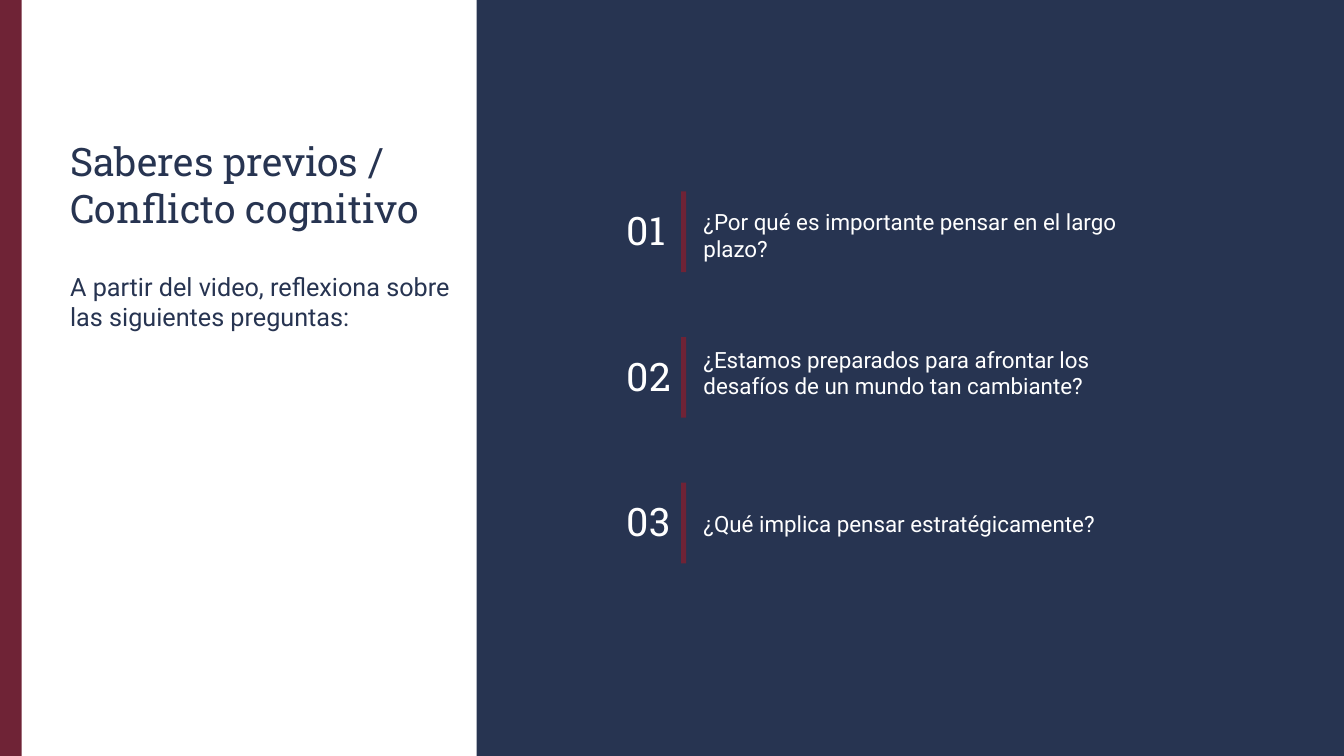
import pptx
import pptx.util
import pptx.dml.color
import pptx.enum.shapes
import pptx.enum.text

Pt = pptx.util.Pt
hues = {"navy": "273451", "wine": "6F2336", "white": "FFFFFF"}

deck = pptx.Presentation()
deck.slide_width, deck.slide_height = Pt(960), Pt(540)
slide = deck.slides.add_slide(deck.slide_layouts[5])
shapes = slide.shapes


def add_bar(left, top, width, height, hue):
    bar = shapes.add_shape(pptx.enum.shapes.MSO_SHAPE.RECTANGLE,
                           Pt(left), Pt(top), Pt(width), Pt(height))
    bar.shadow.inherit = False
    bar.fill.solid()
    bar.fill.fore_color.rgb = pptx.dml.color.RGBColor.from_string(hues[hue])
    bar.line.fill.background()


def put_text(box, left, top, width, height, text, face, size, hue):
    box.left, box.top, box.width, box.height = Pt(left), Pt(top), Pt(width), Pt(height)
    frame = box.text_frame
    frame.word_wrap = True
    frame.auto_size = pptx.enum.text.MSO_AUTO_SIZE.SHAPE_TO_FIT_TEXT
    frame.vertical_anchor = pptx.enum.text.MSO_ANCHOR.TOP
    frame.text = text
    para = frame.paragraphs[0]
    para.alignment = pptx.enum.text.PP_ALIGN.LEFT
    para.font.name = face
    para.font.size = Pt(size)
    para.font.color.rgb = pptx.dml.color.RGBColor.from_string(hues[hue])


add_bar(340.5, 0, 619.5, 540, "navy")
add_bar(0, 0, 15.5, 540, "wine")

put_text(shapes.title, 43, 94.3, 274.3, 75,
         "Saberes previos / Conflicto cognitivo", "Roboto Slab", 28, "navy")
put_text(shapes.add_textbox(0, 0, 0, 0), 43, 190, 309, 51,
         "A partir del video, reflexiona sobre las siguientes preguntas:",
         "Roboto", 18, "navy")

asks = [
    ("¿Por qué es importante pensar en el largo plazo?", 145.4, 46),
    ("¿Estamos preparados para afrontar los desafíos de un mundo tan cambiante?", 243.4, 46),
    ("¿Qué implica pensar estratégicamente?", 360.7, 26.6),
]
for index, (ask, top, height) in enumerate(asks):
    row = 136.8 + 104 * index
    add_bar(486.5, row, 3.6, 57.6, "wine")
    put_text(shapes.add_textbox(0, 0, 0, 0), 495.4, top, 349.2, height,
             ask, "Roboto", 16, "white")
    put_text(shapes.add_textbox(0, 0, 0, 0), 440.6, row + 7, 49, 41,
             f"{index + 1:02}", "Roboto Slab", 28, "white")

deck.save("out.pptx")
